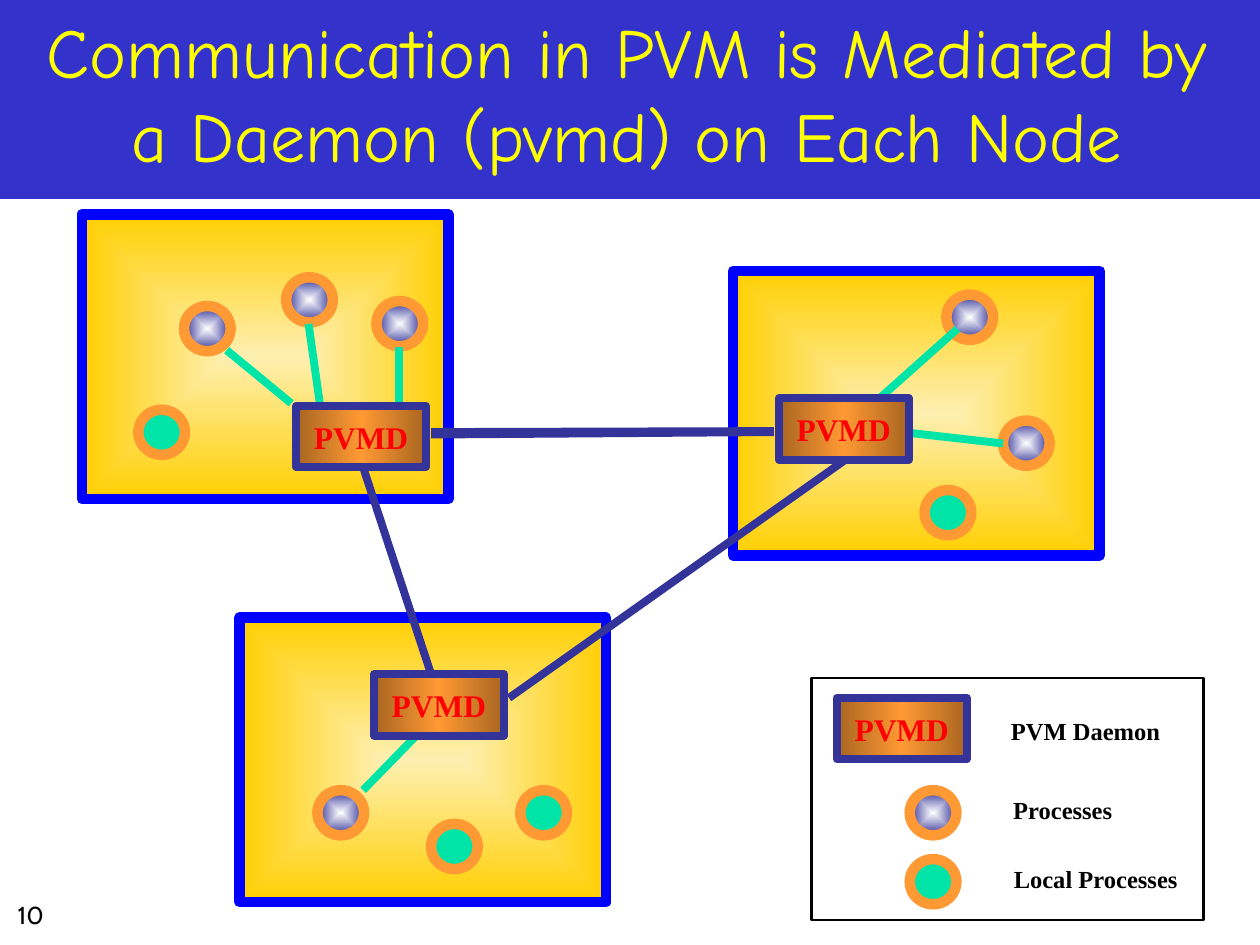
from pptx import Presentation
from pptx.dml.color import RGBColor
from pptx.enum.shapes import MSO_CONNECTOR, MSO_SHAPE
from pptx.enum.text import MSO_ANCHOR, PP_ALIGN
from pptx.oxml import parse_xml
from pptx.oxml.ns import nsdecls
from pptx.util import Cm, Pt
from lxml import etree

RECT, OVAL = MSO_SHAPE.RECTANGLE, MSO_SHAPE.OVAL
LINE = MSO_CONNECTOR.STRAIGHT
CENTER = PP_ALIGN.CENTER
TOP, MIDDLE, BOTTOM = MSO_ANCHOR.TOP, MSO_ANCHOR.MIDDLE, MSO_ANCHOR.BOTTOM

BAND = RGBColor(0x33, 0x33, 0xCC)
YELLOW = RGBColor(0xFF, 0xFF, 0x00)
BLUE = RGBColor(0x00, 0x00, 0xFF)
NAVY = RGBColor(0x33, 0x33, 0x99)
ORANGE = RGBColor(0xFF, 0x99, 0x33)
BROWN = RGBColor(0xA8, 0x65, 0x21)
GREEN = RGBColor(0x00, 0xE4, 0xA8)
CREAM = RGBColor(0xFE, 0xEF, 0xB1)
GOLD = RGBColor(0xFF, 0xCF, 0x01)
PALE = RGBColor(0xFE, 0xFE, 0xFE)
RED = RGBColor(0xFF, 0x00, 0x00)
BLACK = RGBColor(0x00, 0x00, 0x00)

CORE = '<a:path path="rect"><a:fillToRect l="50000" t="50000" r="50000" b="50000"/></a:path>'
SIDE = '<a:lin ang="10800000" scaled="0"/>'
SERIF = "Times New Roman"

deck = Presentation()
deck.slide_width, deck.slide_height = Cm(25.4), Cm(19.05)
slide = deck.slides.add_slide(deck.slide_layouts[6])
shapes = slide.shapes


def draw(kind, left, top, width, height, fill, edge=None, weight=0):
    shape = shapes.add_shape(kind, Cm(left), Cm(top), Cm(width), Cm(height))
    shape.shadow.inherit = False
    if fill is None:
        shape.fill.background()
    elif isinstance(fill, RGBColor):
        shape.fill.solid()
        shape.fill.fore_color.rgb = fill
    else:
        *tones, way = fill
        stops = "".join(
            f'<a:gs pos="{100000 * i // (len(tones) - 1)}"><a:srgbClr val="{tone}"/></a:gs>'
            for i, tone in enumerate(tones))
        shape.element.spPr.insert(2, parse_xml(
            f'<a:gradFill {nsdecls("a")} rotWithShape="1"><a:gsLst>{stops}</a:gsLst>{way}</a:gradFill>'))
    if edge is None:
        shape.line.fill.background()
    else:
        shape.line.color.rgb = edge
        shape.line.width = Pt(weight)
    return shape


def write(shape, text, size, face, color, bold=False, anchor=TOP, wrap=False):
    frame = shape.text_frame
    frame.word_wrap = wrap
    frame.vertical_anchor = anchor
    para = frame.paragraphs[0]
    para.text = text
    para.alignment = CENTER
    font = para.font
    font.size, font.name, font.bold = Pt(size), face, bold
    font.color.rgb = color


draw(RECT, 0, 0, 25.4, 4.01, BAND)
page = shapes.add_textbox(Cm(-0.84), Cm(18.01), Cm(2.92), Cm(0.94))
write(page, "10", 14, "Cabin", BLACK)
title = shapes.add_textbox(Cm(0.43), Cm(0.43), Cm(24.41), Cm(3.25))
write(title, "Communication in PVM is Mediated by a Daemon (pvmd) on Each Node",
      40, "Comic Neue", YELLOW, anchor=BOTTOM, wrap=True)

for left, top in [(1.65, 4.32), (14.78, 5.46), (4.83, 12.45)]:
    draw(RECT, left, top, 7.39, 5.74, (CREAM, GOLD, CORE), BLUE, 6)

tasks = [(3.71, 6.17), (5.77, 5.59), (7.59, 6.07), (19.08, 5.94),
         (20.22, 8.48), (6.4, 15.93), (18.34, 15.93)]
locals_ = [(2.79, 8.26), (18.64, 9.88), (8.69, 16.61), (10.49, 15.93), (18.34, 17.32)]
for spots, fill in [(tasks, (PALE, NAVY, CORE)), (locals_, GREEN)]:
    for left, top in spots:
        draw(OVAL, left, top, 0.94, 0.91, fill, ORANGE, 6)

links = [(7.32, 9.42, 8.69, 13.59), (8.69, 8.71, 15.6, 8.69),
         (17.04, 9.27, 10.26, 14.07), (8.69, 8.76, 15.6, 8.71)]
spokes = [(5.87, 8.13, 4.57, 7.06), (6.45, 8.15, 6.22, 6.53), (8.05, 8.15, 8.05, 6.99),
          (7.32, 15.93, 8.46, 14.76), (20.22, 8.94, 18.19, 8.71), (19.3, 6.63, 17.73, 8.03)]
for group, color in [(links, NAVY), (spokes, GREEN)]:
    for ends in group:
        link = shapes.add_connector(LINE, *[Cm(end) for end in ends])
        link.line.color.rgb = color
        link.line.width = Pt(4.5)
        etree.SubElement(link.element.spPr,
                         "{http://schemas.openxmlformats.org/drawingml/2006/main}effectLst")

for left, top in [(5.97, 8.18), (15.7, 8.03), (7.54, 13.59), (16.87, 14.07)]:
    node = draw(RECT, left, top, 2.62, 1.24, (BROWN, ORANGE, BROWN, SIDE), NAVY, 4.5)
    write(node, "PVMD", 18, SERIF, RED, True, MIDDLE)

for text, left, top, width in [("PVM Daemon", 20.12, 14.3, 3.53),
                               ("Processes", 20.17, 15.9, 2.51),
                               ("Local Processes", 20.17, 17.3, 3.84)]:
    label = shapes.add_textbox(Cm(left), Cm(top), Cm(width), Cm(0.84))
    write(label, text, 14, SERIF, BLACK, True)
draw(RECT, 16.36, 13.67, 7.9, 4.88, None, BLACK, 1.5)

deck.save("out.pptx")
